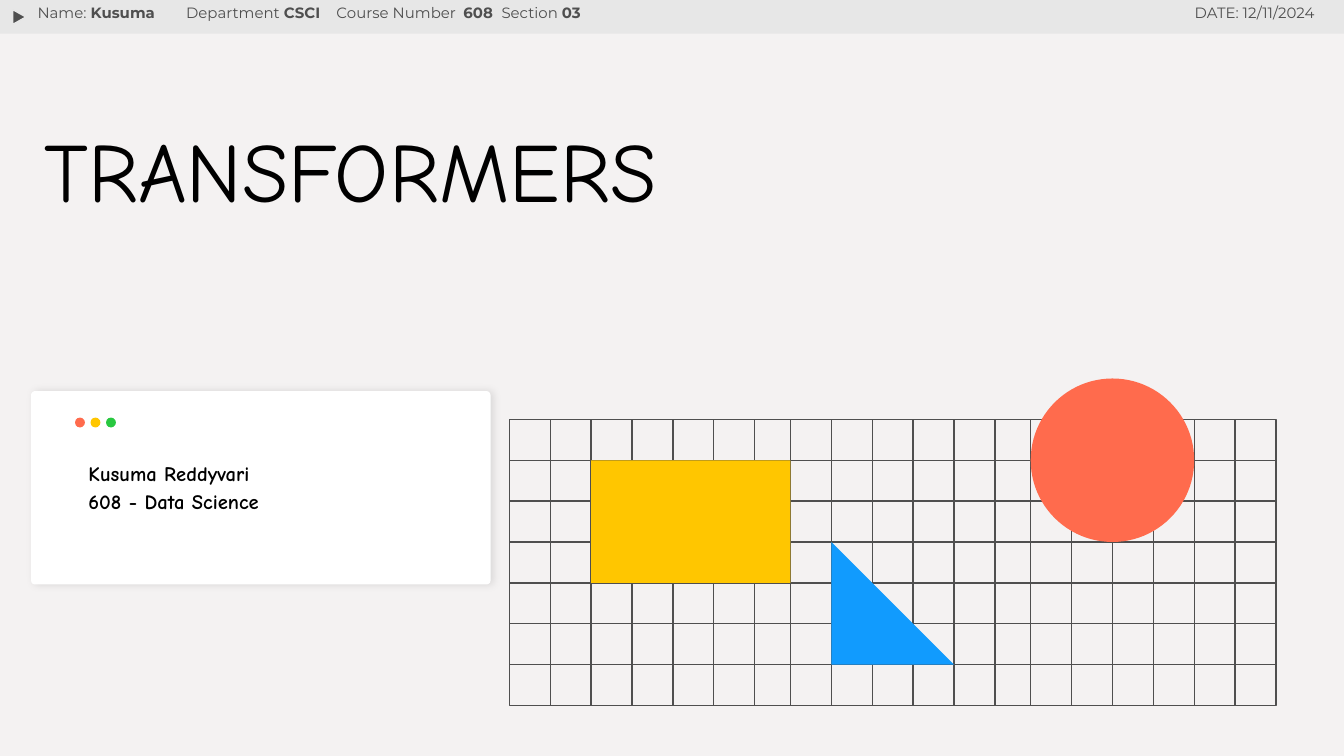
"""Build the TRANSFORMERS title slide with its header bar, author card and shape grid."""
import itertools

import pptx
import pptx.dml.color
import pptx.enum.shapes
import pptx.enum.text
import pptx.oxml
import pptx.oxml.ns
import pptx.util
from lxml import etree

Pt = pptx.util.Pt
SHAPE = pptx.enum.shapes.MSO_SHAPE
ALIGN = pptx.enum.text.PP_ALIGN

INK, BAR, PAPER, WHITE = "4F4F4F", "E7E7E7", "F4F2F2", "FFFFFF"
CORAL, YELLOW, BLUE, GREEN, BLACK = "FF6B4D", "FFC600", "119BFE", "28C840", "000000"

HEADER = {"name": "Montserrat", "size": Pt(8)}
TITLE = {"name": "Comic Neue", "size": Pt(45)}
AUTHOR = {"name": "Comic Neue", "size": Pt(11), "bold": True}
INSETS = {f"margin_{side}": Pt(7.2) for side in ("left", "top", "right", "bottom")}

TEXTS = [
    {"box": (621.4, -2.9, 90, 24.5), "format": HEADER, "color": INK,
     "paragraph": {"alignment": ALIGN.RIGHT}, "lines": [[("DATE: 12/11/2024", False)]]},
    {"box": (16.6, 62.6, 420.5, 122.4), "format": TITLE, "color": BLACK,
     "paragraph": {"line_spacing": 0.9}, "lines": [[("TRANSFORMERS", False)]]},
    {"box": (13, -2.9, 92.2, 26.6), "format": HEADER, "color": INK,
     "paragraph": {}, "lines": [[("Name: ", False), ("Kusuma", True)]]},
    {"box": (92.6, -2.9, 300.2, 24.5), "format": HEADER, "color": INK,
     "paragraph": {}, "tabs": (80.6, 148.6, 169),
     "lines": [[("Department ", False), ("CSCI", True), ("\tCourse Number\t", False),
                ("608", True), ("\tSection ", False), ("03", True)]]},
    {"box": (40.3, 237.6, 222.5, 95.8), "format": AUTHOR, "color": BLACK,
     "paragraph": {"line_spacing": 1.15},
     "lines": [[("Kusuma Reddyvari", True)], [("608 - Data Science", True)]]},
]

GRID_LEFT, GRID_TOP, CELL, NARROW_CELL = 272.9, 224.7, 21.9, 19.2
COLUMNS, ROWS, NARROW_COLUMNS = 19, 7, (6, 12)
GRID_SHAPES = [
    (SHAPE.RECTANGLE, YELLOW, (2, 7), (1, 4)),
    (SHAPE.OVAL, CORAL, (13, 17), (-1, 3)),
    (SHAPE.RIGHT_TRIANGLE, BLUE, (8, 11), (3, 6)),
]
CARD_DOTS = [CORAL, YELLOW, GREEN]
DOT_LEFT, DOT_TOP, DOT_SIZE, DOT_STEP = 40.2, 223.7, 5.3, 8.3


def rgb(color):
    return pptx.dml.color.RGBColor.from_string(color)


def apply(target, values):
    for key, value in values.items():
        setattr(target, key, value)


def draw(slide, kind, box, fill=None, line=None):
    shape = slide.shapes.add_shape(kind, *map(Pt, box))
    shape.shadow.inherit = False
    if fill:
        shape.fill.solid()
        shape.fill.fore_color.rgb = rgb(fill)
    else:
        shape.fill.background()
    if line:
        shape.line.color.rgb = rgb(line)
        shape.line.width = Pt(0.75)
    else:
        shape.line.fill.background()
    return shape


def rule(slide, *ends):
    connector = slide.shapes.add_connector(
        pptx.enum.shapes.MSO_CONNECTOR.STRAIGHT, *map(Pt, ends))
    connector.line.color.rgb = rgb(INK)
    connector.line.width = Pt(0.75)
    etree.SubElement(connector._element.spPr, pptx.oxml.ns.qn("a:effectLst"))


def write(slide, content):
    frame = slide.shapes.add_textbox(*map(Pt, content["box"])).text_frame
    apply(frame, {"word_wrap": True, **INSETS})
    for index, line in enumerate(content["lines"]):
        paragraph = frame.add_paragraph() if index else frame.paragraphs[0]
        apply(paragraph, content["paragraph"])
        if "tabs" in content:
            properties = paragraph._p.get_or_add_pPr()
            stops = etree.SubElement(properties, pptx.oxml.ns.qn("a:tabLst"))
            for stop in content["tabs"]:
                etree.SubElement(stops, pptx.oxml.ns.qn("a:tab"), pos=str(int(Pt(stop))), algn="l")
        for wording, bold in line:
            run = paragraph.add_run()
            run.text = wording
            apply(run.font, {**content["format"], "bold": bold})
            run.font.color.rgb = rgb(content["color"])


def draw_header(slide):
    draw(slide, SHAPE.RECTANGLE, (-0.5, 0, 720.7, 18), BAR)
    marker = draw(slide, SHAPE.ISOSCELES_TRIANGLE, (6.4, 5.6, 7.9, 7), INK, BAR)
    marker.rotation = 90


def draw_grid(slide):
    widths = [NARROW_CELL if column in NARROW_COLUMNS else CELL for column in range(COLUMNS)]
    across = list(itertools.accumulate(widths, initial=GRID_LEFT))
    down = {row: GRID_TOP + row * CELL for row in range(-1, ROWS + 1)}
    right, bottom = across[-1], down[ROWS]
    draw(slide, SHAPE.RECTANGLE,
         (GRID_LEFT, GRID_TOP, right - GRID_LEFT, bottom - GRID_TOP), line=INK)
    for x in across[1:-1]:
        rule(slide, x, GRID_TOP, x, bottom)
    for row in range(1, ROWS):
        rule(slide, GRID_LEFT, down[row], right, down[row])
    for kind, fill, (start, end), (top, base) in GRID_SHAPES:
        draw(slide, kind, (across[start], down[top], across[end] - across[start],
                           down[base] - down[top]), fill)


def draw_card(slide):
    card = draw(slide, SHAPE.ROUNDED_RECTANGLE, (16.6, 209.5, 246.2, 103.6), WHITE)
    card.adjustments[0] = 0.02
    effects = card._element.spPr.find(pptx.oxml.ns.qn("a:effectLst"))
    shadow = etree.SubElement(effects, pptx.oxml.ns.qn("a:outerShdw"), blurRad=str(int(Pt(4.5))),
                              dist=str(int(Pt(1.5))), dir="0", algn="bl", rotWithShape="0")
    tint = etree.SubElement(shadow, pptx.oxml.ns.qn("a:srgbClr"), val=BLACK)
    etree.SubElement(tint, pptx.oxml.ns.qn("a:alpha"), val="11000")
    for index, fill in enumerate(CARD_DOTS):
        draw(slide, SHAPE.OVAL,
             (DOT_LEFT + index * DOT_STEP, DOT_TOP, DOT_SIZE, DOT_SIZE), fill)


def main():
    deck = pptx.Presentation()
    apply(deck, {"slide_width": Pt(720), "slide_height": Pt(405)})
    slide = deck.slides.add_slide(deck.slide_layouts[6])
    slide.background.fill.solid()
    slide.background.fill.fore_color.rgb = rgb(PAPER)
    draw_header(slide)
    draw_grid(slide)
    draw_card(slide)
    for content in TEXTS:
        write(slide, content)
    deck.save("out.pptx")


if __name__ == "__main__":
    main()
